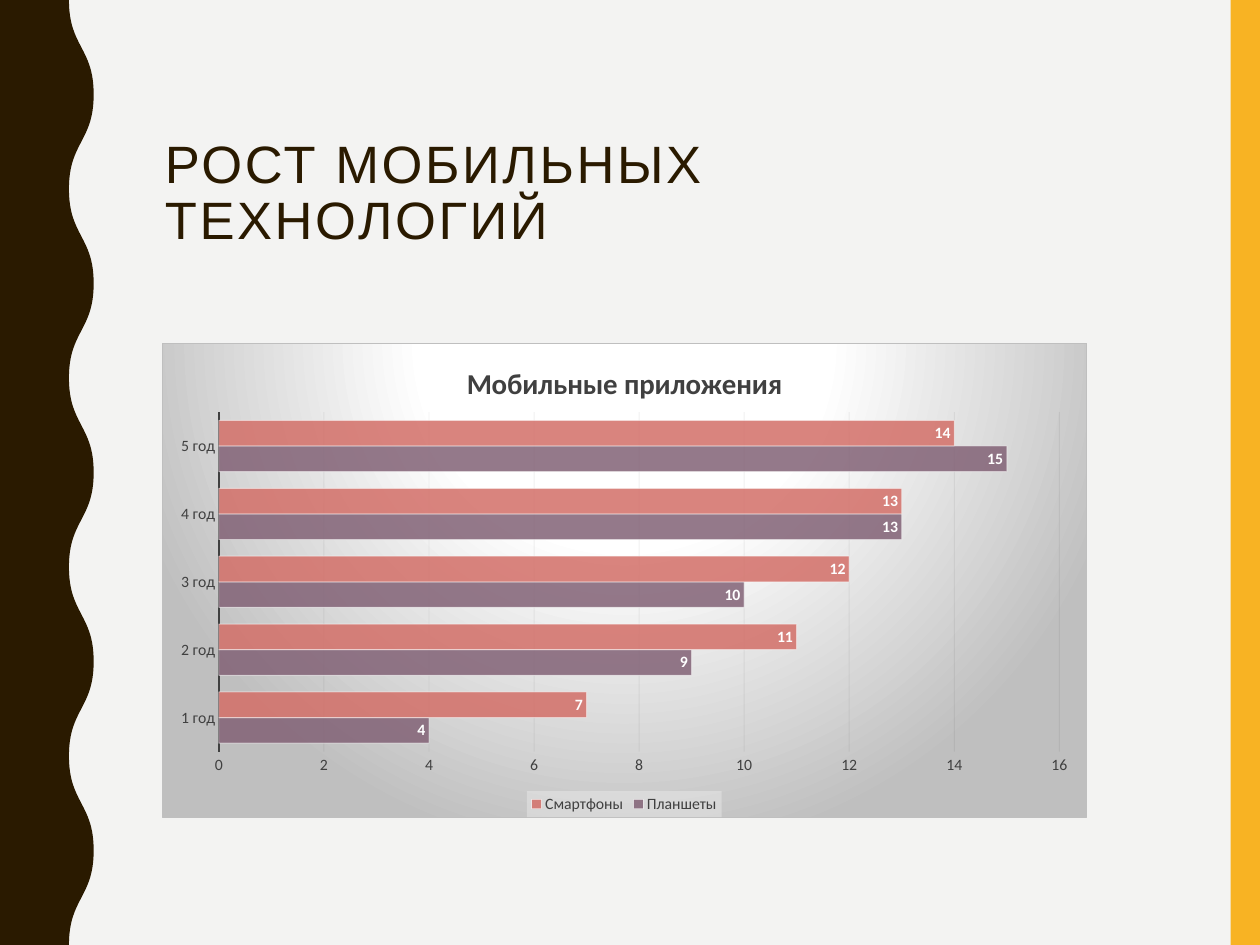
from pptx import Presentation
from pptx.chart.data import CategoryChartData
from pptx.dml.color import RGBColor
from pptx.enum import chart as charts, shapes, text
from pptx.oxml import parse_xml
from pptx.oxml.ns import nsdecls
from pptx.util import Pt

WIDTH, HEIGHT = 959.04, 719.28
CHART_WIDTH, CHART_HEIGHT = 704.2, 361.4
BACKGROUND = RGBColor(0xF3, 0xF3, 0xF2)
AMBER = RGBColor(0xF8, 0xB3, 0x23)
BROWN = RGBColor(0x2A, 0x1A, 0x00)
CHARCOAL = RGBColor(0x40, 0x40, 0x40)
GRID = RGBColor(0x0D, 0x0D, 0x0D)
WHITE = RGBColor(0xFF, 0xFF, 0xFF)
PLUM = RGBColor(0x82, 0x62, 0x76)
CORAL = RGBColor(0xD3, 0x6F, 0x68)

YEARS = ["1 год", "2 год", "3 год", "4 год", "5 год"]
SERIES = [
    ("Планшеты", [4, 9, 10, 13, 15], PLUM),
    ("Смартфоны", [7, 11, 12, 13, 14], CORAL),
]

CHART_AREA = f"""<c:spPr {nsdecls('c', 'a')}>
  <a:gradFill><a:gsLst>
    <a:gs pos="0"><a:srgbClr val="FFFFFF"/></a:gs>
    <a:gs pos="39000"><a:srgbClr val="FFFFFF"/></a:gs>
    <a:gs pos="100000"><a:srgbClr val="BFBFBF"/></a:gs>
  </a:gsLst><a:path path="circle">
    <a:fillToRect l="50000" t="-80000" r="50000" b="180000"/>
  </a:path></a:gradFill>
  <a:ln w="9525"><a:solidFill><a:srgbClr val="BFBFBF"/></a:solidFill></a:ln>
</c:spPr>"""
LEGEND_AREA = f"""<c:spPr {nsdecls('c', 'a')}><a:solidFill>
  <a:srgbClr val="F2F2F2"><a:alpha val="39000"/></a:srgbClr>
</a:solidFill></c:spPr>"""


def fill_plain(shape, color):
    """Give a shape a solid fill without outline or shadow."""
    shape.shadow.inherit = False
    shape.fill.solid()
    shape.fill.fore_color.rgb = color
    shape.line.fill.background()


def style_font(font, size, color, bold=False, name="Calibri"):
    """Set the typeface, size, colour and weight of a font."""
    font.name, font.size, font.bold = name, Pt(size), bold
    font.color.rgb = color


def set_alpha(element, query, percent):
    """Make the colours found by the query partly transparent."""
    for color in element.xpath(query):
        color.append(parse_xml(f'<a:alpha {nsdecls("a")} val="{percent * 1000}"/>'))


def plot_layout(left, top, width, height):
    """Return the layout of the inner plot area, given in points."""
    return parse_xml(f"""<c:layout {nsdecls('c')}><c:manualLayout>
      <c:layoutTarget val="inner"/><c:xMode val="edge"/><c:yMode val="edge"/>
      <c:x val="{left / CHART_WIDTH}"/><c:y val="{top / CHART_HEIGHT}"/>
      <c:w val="{width / CHART_WIDTH}"/><c:h val="{height / CHART_HEIGHT}"/>
    </c:manualLayout></c:layout>""")


def add_side_bar(slide):
    """Add the amber strip on the right edge."""
    width = 22.32
    bar = slide.shapes.add_shape(
        shapes.MSO_SHAPE.RECTANGLE, Pt(WIDTH - width), 0, Pt(width), Pt(HEIGHT))
    fill_plain(bar, AMBER)


def add_wave(slide, inner=52.5, outer=71.3, halves=10):
    """Add the brown band whose right edge is a smooth wave."""
    step = HEIGHT / halves
    knots = [(Pt((inner, outer)[i % 2]), Pt(i * step)) for i in range(halves + 1)]
    builder = slide.shapes.build_freeform(*knots[0])
    builder.add_line_segments([*knots[1:], (0, Pt(HEIGHT)), (0, 0)], close=True)
    wave = builder.convert_to_shape()
    lines = wave._element.xpath(".//a:path/a:lnTo")
    for line, (x0, y0), (x1, y1) in zip(lines, knots, knots[1:]):
        middle = (y0 + y1) // 2
        points = "".join(
            f'<a:pt x="{x}" y="{y}"/>' for x, y in [(x0, middle), (x1, middle), (x1, y1)])
        curve = f'<a:cubicBezTo {nsdecls("a")}>{points}</a:cubicBezTo>'
        line.getparent().replace(line, parse_xml(curve))
    fill_plain(wave, BROWN)


def add_title(slide, words):
    """Add the spaced heading."""
    box = slide.shapes.add_textbox(Pt(118.5), Pt(80.3), Pt(722.2), Pt(135.4))
    frame = box.text_frame
    frame.word_wrap = True
    frame.vertical_anchor = text.MSO_ANCHOR.MIDDLE
    paragraph = frame.paragraphs[0]
    paragraph.line_spacing = 0.9
    run = paragraph.add_run()
    run.text = words
    style_font(run.font, 40, BROWN, name="Arial")
    run.font._element.set("spc", "200")


def style_axes(chart):
    """Format both axes and the faint gridlines."""
    years, values = chart.category_axis, chart.value_axis
    for axis in (years, values):
        axis.major_tick_mark = axis.minor_tick_mark = charts.XL_TICK_MARK.NONE
        style_font(axis.tick_labels.font, 12, CHARCOAL)
    years.has_major_gridlines = False
    years.format.line.color.rgb = CHARCOAL
    years.format.line.width = Pt(1.5)
    values.format.line.fill.background()
    values.minimum_scale, values.maximum_scale, values.major_unit = 0, 16, 2
    values.has_major_gridlines = True
    grid = values.major_gridlines.format.line
    grid.color.rgb = GRID
    grid.width = Pt(0.75)
    set_alpha(values._element, "./c:majorGridlines//a:srgbClr", 5)


def style_series(series, color):
    """Colour the bars of a series and label them inside the end."""
    series.invert_if_negative = False
    series.format.fill.solid()
    series.format.fill.fore_color.rgb = color
    series.format.line.color.rgb = WHITE
    series.format.line.width = Pt(0.75)
    set_alpha(series._element, "./c:spPr/a:solidFill/a:srgbClr", 85)
    set_alpha(series._element, "./c:spPr/a:ln//a:srgbClr", 50)
    labels = series.data_labels
    labels.show_value = True
    labels.position = charts.XL_LABEL_POSITION.INSIDE_END
    style_font(labels.font, 12, WHITE, bold=True)


def add_growth_chart(slide, heading):
    """Add the clustered bar chart of mobile apps by year."""
    data = CategoryChartData()
    data.categories = YEARS
    for name, values, _ in SERIES:
        data.add_series(name, values)
    chart = slide.shapes.add_chart(
        charts.XL_CHART_TYPE.BAR_CLUSTERED,
        Pt(123.1), Pt(261), Pt(CHART_WIDTH), Pt(CHART_HEIGHT), data).chart
    style_font(chart.font, 10, CHARCOAL)
    chart._chartSpace.xpath("./c:txPr")[0].addprevious(parse_xml(CHART_AREA))

    chart.has_title = True
    run = chart.chart_title.text_frame.paragraphs[0].add_run()
    run.text = heading
    style_font(run.font, 22, CHARCOAL, bold=True)
    chart.chart_title.include_in_layout = False

    chart.has_legend = True
    legend = chart.legend
    legend.position = charts.XL_LEGEND_POSITION.BOTTOM
    legend.include_in_layout = False
    style_font(legend.font, 12, CHARCOAL)
    legend._element.xpath("./c:txPr")[0].addprevious(parse_xml(LEGEND_AREA))

    plot_area = chart._chartSpace.xpath("./c:chart/c:plotArea")[0]
    for layout in plot_area.xpath("./c:layout"):
        plot_area.remove(layout)
    plot_area.insert(0, plot_layout(43.2, 52.4, 640.4, 259))
    plot = chart.plots[0]
    plot.gap_width, plot.overlap, plot.vary_by_categories = 65, 0, False
    style_axes(chart)
    for series, (_, _, color) in zip(plot.series, SERIES):
        style_series(series, color)


def main():
    """Build the slide and save it."""
    presentation = Presentation()
    presentation.slide_width, presentation.slide_height = Pt(WIDTH), Pt(HEIGHT)
    slide = presentation.slides.add_slide(presentation.slide_layouts[6])
    slide.background.fill.solid()
    slide.background.fill.fore_color.rgb = BACKGROUND
    add_side_bar(slide)
    add_wave(slide)
    add_title(slide, "РОСТ МОБИЛЬНЫХ ТЕХНОЛОГИЙ")
    add_growth_chart(slide, "Мобильные приложения")
    presentation.save("out.pptx")


if __name__ == "__main__":
    main()
